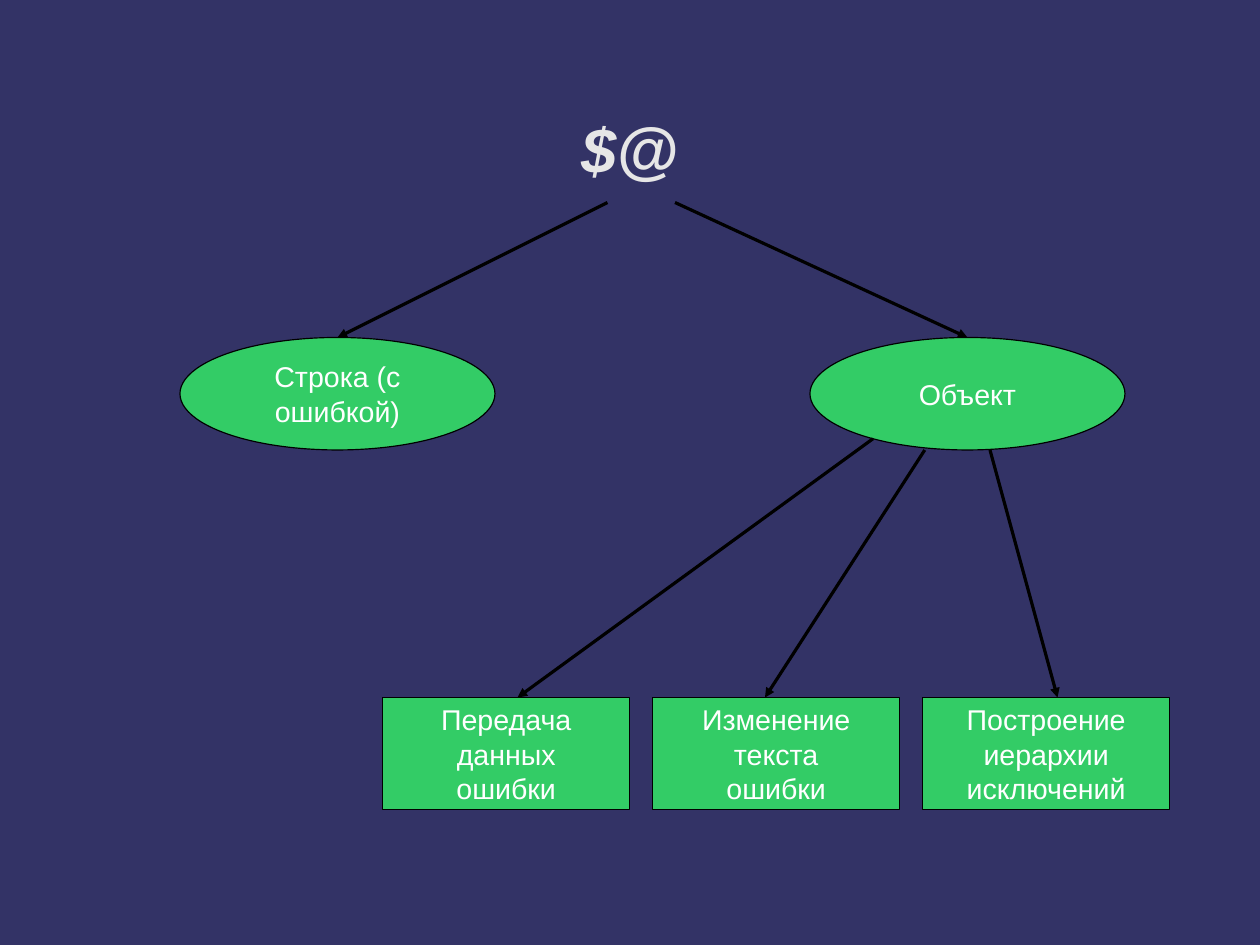
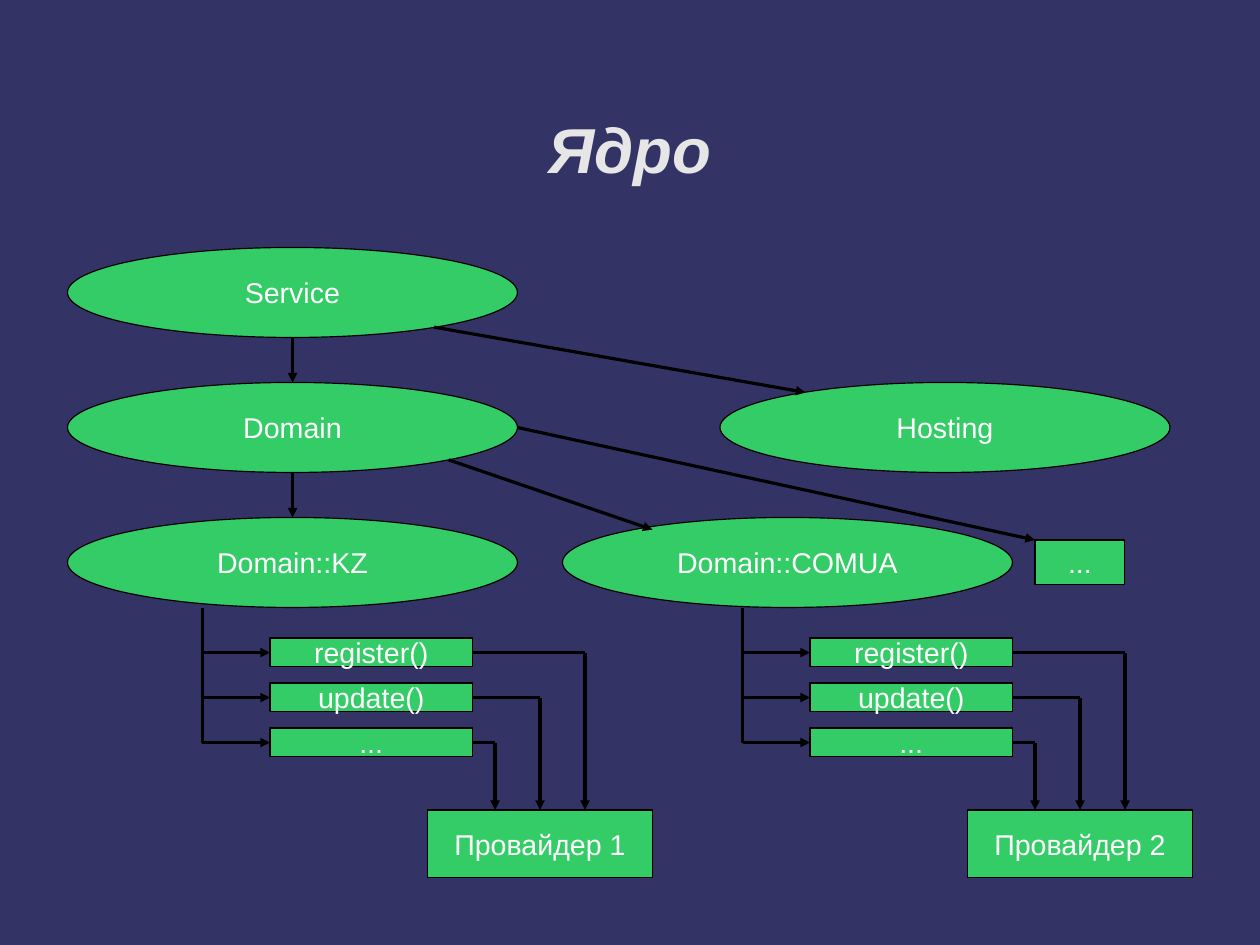
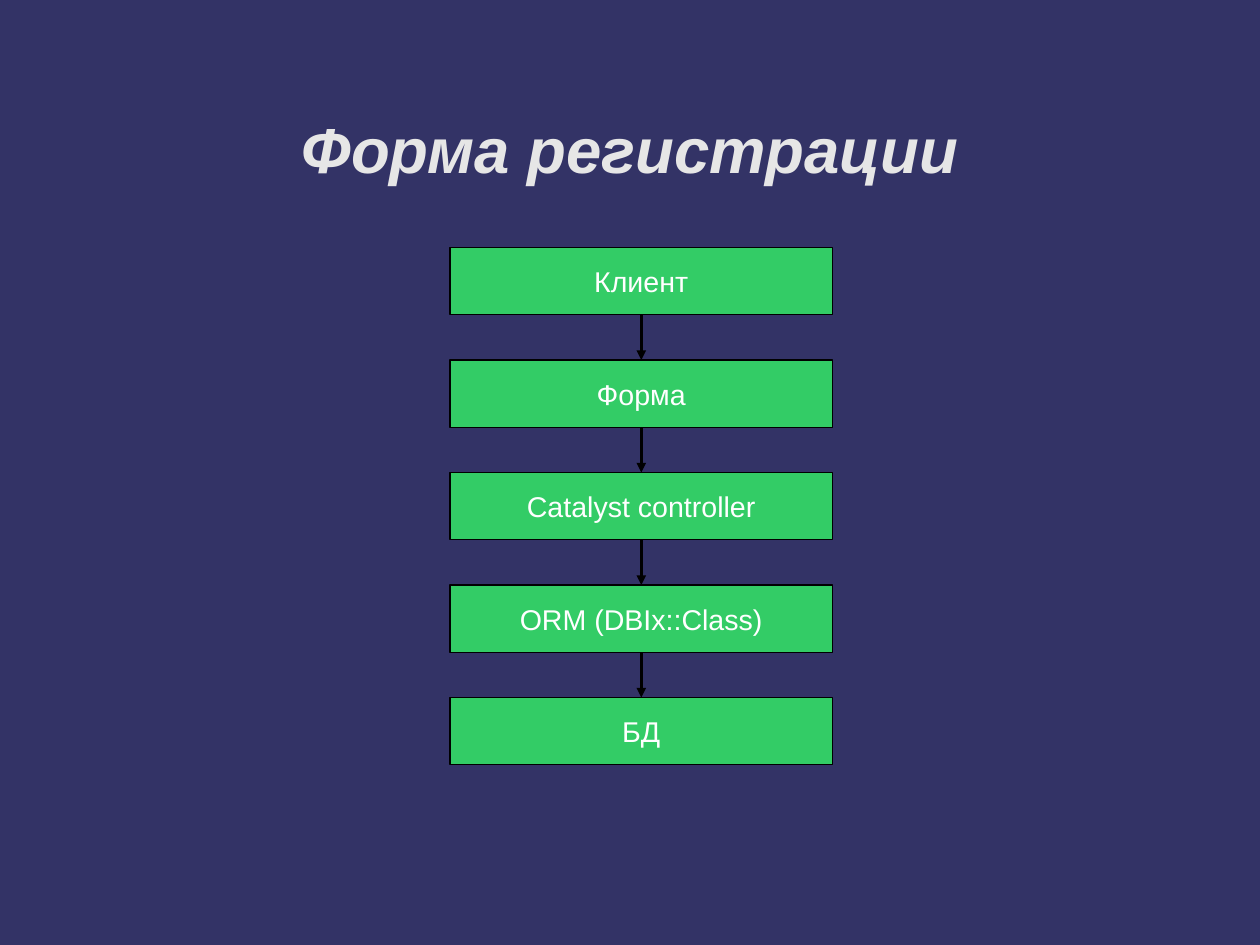
import dataclasses

import pptx
import pptx.dml.color
import pptx.enum.shapes
import pptx.enum.text
import pptx.oxml.ns
import pptx.util
from lxml import etree

Cm = pptx.util.Cm
RECTANGLE = pptx.enum.shapes.MSO_SHAPE.RECTANGLE
OVAL = pptx.enum.shapes.MSO_SHAPE.OVAL
TOP, LEFT, BOTTOM, RIGHT = range(4)
TITLE_ONLY_LAYOUT = 5


@dataclasses.dataclass(frozen=True)
class Theme:
    background: str = "333366"
    title: str = "E6E6E6"
    node: str = "33CC66"
    label: str = "FFFFFF"
    line: str = "000000"
    font: str = "Arial"
    title_size: int = 40
    label_size: int = 18
    line_width: int = 0


@dataclasses.dataclass(frozen=True)
class Box:
    """A region of the slide, in centimetres."""
    left: float
    top: float
    width: float
    height: float

    def inner(self, dx, dy, width, height):
        return Box(self.left + dx, self.top + dy, width, height)

    def point(self, dx, dy):
        return self.left + dx, self.top + dy

    def lengths(self):
        return [Cm(value) for value in dataclasses.astuple(self)]


THEME = Theme()
SLIDE = Box(0, 0, 28, 21)
TITLE = Box(2, 1.55, 24, 3.5)


def rgb(value):
    return pptx.dml.color.RGBColor.from_string(value)


def write_text(frame, text, size=THEME.label_size, color=THEME.label,
               bold=False, italic=False, inset=(0.25, 0.13)):
    """Fill a frame with centred text; each line of text is a paragraph."""
    frame.word_wrap = True
    frame.auto_size = pptx.enum.text.MSO_AUTO_SIZE.NONE
    frame.vertical_anchor = pptx.enum.text.MSO_ANCHOR.MIDDLE
    frame.margin_left = frame.margin_right = Cm(inset[0])
    frame.margin_top = frame.margin_bottom = Cm(inset[1])
    frame.text = text
    for paragraph in frame.paragraphs:
        paragraph.alignment = pptx.enum.text.PP_ALIGN.CENTER
        for run in paragraph.runs:
            run.font.name = THEME.font
            run.font.size = pptx.util.Pt(size)
            run.font.bold = bold
            run.font.italic = italic
            run.font.color.rgb = rgb(color)


def set_line(line):
    line.color.rgb = rgb(THEME.line)
    line.width = pptx.util.Pt(THEME.line_width)


def add_node(slide, kind, box, text):
    node = slide.shapes.add_shape(kind, *box.lengths())
    node.shadow.inherit = False
    node.fill.solid()
    node.fill.fore_color.rgb = rgb(THEME.node)
    set_line(node.line)
    write_text(node.text_frame, text)
    return node


def add_line(slide, start, end, arrow=True, source=None, target=None):
    """Draw a line; source and target are (node, side) pairs to join."""
    link = slide.shapes.add_connector(
        pptx.enum.shapes.MSO_CONNECTOR.STRAIGHT,
        *(Cm(value) for value in (*start, *end)))
    set_line(link.line)
    if arrow:
        etree.SubElement(link.line._get_or_add_ln(),
                         pptx.oxml.ns.qn("a:tailEnd"), type="triangle")
    etree.SubElement(link._element.spPr, pptx.oxml.ns.qn("a:effectLst"))
    if source:
        link.begin_connect(*source)
    if target:
        link.end_connect(*target)


def add_titled_slide(deck, title):
    slide = deck.slides.add_slide(deck.slide_layouts[TITLE_ONLY_LAYOUT])
    heading = slide.shapes.title
    heading.left, heading.top, heading.width, heading.height = TITLE.lengths()
    write_text(heading.text_frame, title, size=THEME.title_size,
               color=THEME.title, bold=True, italic=True, inset=(0, 0))
    return slide


def add_error_tree(slide, box):
    """Draw the two kinds of error value and the uses of the object."""
    kinds = (("Строка (с ошибкой)", 0, 9.5), ("Объект", 14, 11))
    for text, dx, start in kinds:
        kind = add_node(slide, OVAL, box.inner(dx, 3, 7, 2.5), text)
        add_line(slide, box.point(start, 0), box.point(dx + 3.5, 3),
                 target=(kind, TOP))
    uses = (("Передача данных\nошибки", (15.4, 5.25), 7.5),
            ("Изменение текста\nошибки", (16.55, 5.5), 13),
            ("Построение\nиерархии\nисключений", (18, 5.5), 19.5))
    for column, (text, start, end) in enumerate(uses):
        add_node(slide, RECTANGLE,
                 box.inner(4.5 + 6 * column, 11, 5.5, 2.5), text)
        add_line(slide, box.point(*start), box.point(end, 11))


def add_class_hierarchy(slide, box):
    classes = (("Service", 0, 0), ("Domain", 0, 3), ("Domain::KZ", 0, 6),
               ("Domain::COMUA", 11, 6), ("Hosting", 14.5, 3))
    nodes = {text: add_node(slide, OVAL, box.inner(dx, dy, 10, 2), text)
             for text, dx, dy in classes}
    others = add_node(slide, RECTANGLE, box.inner(21.5, 6.5, 2, 1), "...")
    for row, child in enumerate(("Domain", "Domain::KZ")):
        add_line(slide, box.point(5, 2 + 3 * row), box.point(5, 3 + 3 * row),
                 target=(nodes[child], TOP))
    branches = (((8.15, 1.77), (16.4, 3.22)),
                ((8.47, 4.72), (13, 6.27)),
                ((10, 4), (21.5, 6.5)))
    for start, end in branches:
        add_line(slide, box.point(*start), box.point(*end))
    return others


def add_provider_calls(slide, box, provider_name):
    """Draw a trunk, its methods and their calls to a provider."""
    methods = ("register()", "update()", "...")
    provider = add_node(slide, RECTANGLE, box.inner(5, 4.5, 5, 1.5),
                        provider_name)
    add_line(slide, box.point(0, 0), box.point(0, len(methods)), arrow=False)
    for row, text in enumerate(methods, start=1):
        turn = 9.5 - row
        method = add_node(slide, RECTANGLE,
                          box.inner(1.5, row - 0.32, 4.5, 0.64), text)
        add_line(slide, box.point(0, row), box.point(1.5, row),
                 target=(method, LEFT))
        add_line(slide, box.point(6, row), box.point(turn, row), arrow=False,
                 source=(method, RIGHT))
        is_middle = turn == 7.5
        add_line(slide, box.point(turn, row), box.point(turn, 4.5),
                 target=(provider, TOP) if is_middle else None)


def add_layer_stack(slide, box, layers, gap):
    height = (box.height - gap * (len(layers) - 1)) / len(layers)
    middle = box.width / 2
    above = None
    for row, text in enumerate(layers):
        top = row * (height + gap)
        layer = add_node(slide, RECTANGLE,
                         box.inner(0, top, box.width, height), text)
        if above:
            add_line(slide, box.point(middle, top - gap),
                     box.point(middle, top),
                     source=(above, BOTTOM), target=(layer, TOP))
        above = layer


def main():
    deck = pptx.Presentation()
    deck.slide_width, deck.slide_height = Cm(SLIDE.width), Cm(SLIDE.height)
    backdrop = deck.slide_master.background.fill
    backdrop.solid()
    backdrop.fore_color.rgb = rgb(THEME.background)

    add_error_tree(add_titled_slide(deck, "$@"), Box(4, 4.5, 22, 13.5))

    core = add_titled_slide(deck, "Ядро")
    add_class_hierarchy(core, Box(1.5, 5.5, 24.5, 8))
    for column in range(2):
        add_provider_calls(core, Box(4.5 + 12 * column, 13.5, 10, 6),
                           f"Провайдер {column + 1}")

    add_layer_stack(add_titled_slide(deck, "Форма регистрации"),
                    Box(10, 5.5, 8.5, 11.5),
                    ("Клиент", "Форма", "Catalyst controller",
                     "ORM (DBIx::Class)", "БД"), gap=1)
    deck.save("out.pptx")


if __name__ == "__main__":
    main()
